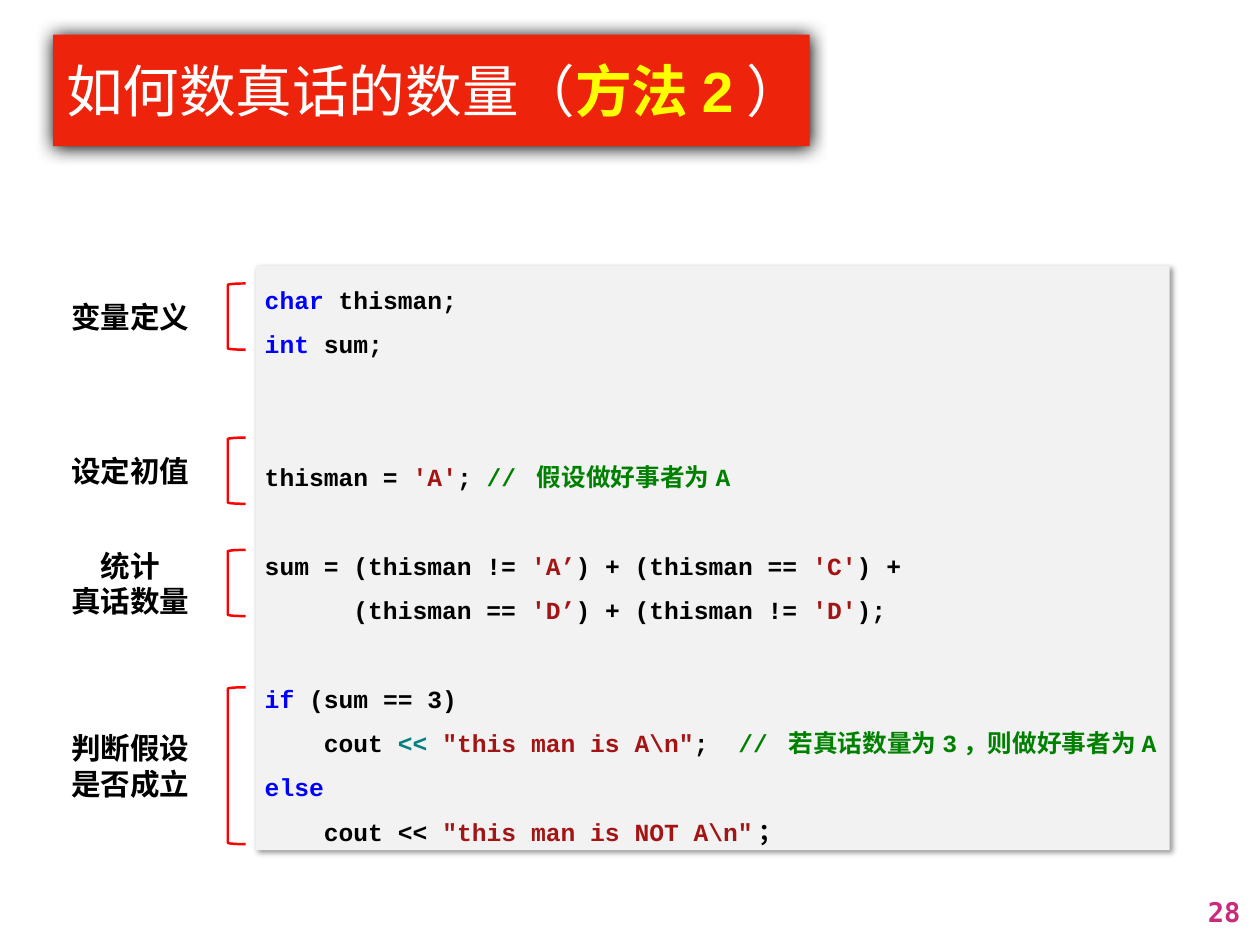
from dataclasses import dataclass

from lxml.etree import SubElement
from pptx import Presentation
from pptx.dml.color import RGBColor
from pptx.enum.shapes import MSO_SHAPE as Preset
from pptx.enum.text import MSO_ANCHOR as Anchor, MSO_AUTO_SIZE as AutoSize, PP_ALIGN as Align
from pptx.oxml.ns import qn
from pptx.util import Cm, Pt


@dataclass(frozen=True)
class Theme:
    body: str = "Arial"
    mono: str = "Courier New"
    number: str = "DejaVu Sans Mono"
    title_size: int = 46
    label_size: int = 24
    number_size: int = 22
    code_size: int = 20
    blank_line: int = 36
    banner: str = "EE230C"
    panel: str = "F2F2F2"
    bracket: str = "FF0000"
    white: str = "FFFFFF"
    highlight: str = "FFFF00"
    plain: str = "000000"
    keyword: str = "0000FF"
    string: str = "A31515"
    comment: str = "008000"
    operator: str = "008080"
    page: str = "CB2A7A"


THEME = Theme()

CODE = [
    (0, [("char ", "keyword"), ("thisman;", "plain")]),
    (0, [("int", "keyword"), (" sum;", "plain")]),
    (2, [("thisman = ", "plain"), ("'A'", "string"), ("; ", "plain"),
         ("// 假设做好事者为A", "comment")]),
    (1, [("sum = (thisman != ", "plain"), ("'A’", "string"),
         (") + (thisman == ", "plain"), ("'C'", "string"), (") +", "plain")]),
    (0, [("      (thisman == ", "plain"), ("'D’", "string"),
         (") + (thisman != ", "plain"), ("'D'", "string"), (");", "plain")]),
    (1, [("if", "keyword"), (" (sum == 3)", "plain")]),
    (0, [("    cout ", "plain"), ("<< ", "operator"), (r'"this man is A\n"', "string"),
         (";  ", "plain"), ("// 若真话数量为3，则做好事者为A", "comment")]),
    (0, [("else", "keyword")]),
    (0, [("    cout << ", "plain"), (r'"this man is NOT A\n"', "string"), ("；", "plain")]),
]

STEPS = [
    (8.13, 1.9, ["变量定义"]),
    (12.55, 1.9, ["设定初值"]),
    (15.77, 1.9, ["统计", "真话数量"]),
    (19.71, 4.5, ["判断假设", "是否成立"]),
]


class CodeSlide:
    """Draws the parts of an annotated code slide in one theme."""

    def __init__(self, deck, theme):
        self.theme = theme
        self.slide = deck.slides.add_slide(deck.slide_layouts[5])

    def colour(self, role):
        return RGBColor.from_string(getattr(self.theme, role))

    def apply(self, target, values):
        for key, value in values.items():
            setattr(target, key, value)

    def frame(self, shape, inset, **values):
        margins = {f"margin_{side}": Cm(inset) for side in ("left", "right", "top", "bottom")}
        self.apply(shape.text_frame, {**margins, **values})
        return shape.text_frame

    def add_runs(self, paragraph, pieces, font, size, bold, **values):
        self.apply(paragraph, values)
        for text, role in pieces:
            run = paragraph.add_run()
            run.text = text
            strong = bold or role == "highlight"
            self.apply(run.font, {"name": font, "size": Pt(size), "bold": strong})
            run.font.color.rgb = self.colour(role)

    def fill(self, shape, role):
        shape.fill.solid()
        shape.fill.fore_color.rgb = self.colour(role)
        shape.line.fill.background()

    def cast_shadow(self, shape, blur, distance, angle, opacity):
        shape.shadow.inherit = False
        effects = shape._element.spPr.find(qn("a:effectLst"))
        shadow = SubElement(effects, qn("a:outerShdw"), blurRad=str(Pt(blur)),
                            dist=str(Pt(distance)), dir=str(angle * 60000),
                            algn="ctr", rotWithShape="0")
        tint = SubElement(shadow, qn("a:srgbClr"), val=self.theme.plain)
        SubElement(tint, qn("a:alpha"), val=str(opacity * 1000))

    def title(self, box, pieces):
        banner = self.slide.shapes.title
        self.apply(banner, dict(zip(("left", "top", "width", "height"), map(Cm, box))))
        self.fill(banner, "banner")
        self.cast_shadow(banner, 15, 0.7, 90, 100)
        frame = self.frame(banner, 0.18, auto_size=AutoSize.NONE, word_wrap=True,
                           vertical_anchor=Anchor.MIDDLE)
        self.add_runs(frame.paragraphs[0], pieces, self.theme.body, self.theme.title_size,
                      False, alignment=Align.RIGHT)

    def code(self, box, lines):
        panel = self.slide.shapes.add_shape(Preset.RECTANGLE, *map(Cm, box))
        self.fill(panel, "panel")
        self.cast_shadow(panel, 4, 3, 45, 40)
        frame = self.frame(panel, 0.13, word_wrap=True, vertical_anchor=Anchor.TOP)
        self.apply(frame, {"margin_left": Cm(0.25), "margin_right": Cm(0.25)})
        for index, (blanks, pieces) in enumerate(lines):
            paragraph = frame.add_paragraph() if index else frame.paragraphs[0]
            self.add_runs(paragraph, pieces, self.theme.mono, self.theme.code_size, True,
                          alignment=Align.LEFT, line_spacing=1.5,
                          space_before=Pt(blanks * self.theme.blank_line))

    def bracket(self, left, top, width, height):
        bracket = self.slide.shapes.add_shape(
            Preset.LEFT_BRACKET, *map(Cm, (left, top, width, height)))
        bracket.shadow.inherit = False
        bracket.fill.background()
        bracket.line.color.rgb = self.colour("bracket")
        bracket.line.width = Pt(2)

    def text(self, box, lines, font, size, role, inset, **values):
        holder = self.slide.shapes.add_textbox(*map(Cm, box))
        frame = self.frame(holder, inset, word_wrap=False, vertical_anchor=Anchor.MIDDLE)
        for index, line in enumerate(lines):
            paragraph = frame.add_paragraph() if index else frame.paragraphs[0]
            self.add_runs(paragraph, [(line, role)], font, size, True, **values)

    def step(self, top, height, lines):
        self.bracket(6.53, top, 0.51, height)
        label_height = 0.3 + 1.02 * len(lines)
        label_top = top + (height - label_height) / 2
        self.text((1.88, label_top, 3.71, label_height), lines, self.theme.body,
                  self.theme.label_size, "plain", 0.15, alignment=Align.CENTER)

    def page_number(self, box, number):
        self.text(box, [number], self.theme.number, self.theme.number_size, "page", 0.18,
                  alignment=Align.RIGHT)


def main():
    deck = Presentation()
    deck.slide_width, deck.slide_height = Cm(36.12), Cm(27.1)
    slide = CodeSlide(deck, THEME)
    slide.title((1.52, 0.99, 21.69, 3.2),
                [("如何数真话的数量（", "white"), ("方法2", "highlight"), ("）", "white")])
    slide.code((7.34, 7.62, 26.19, 16.76), CODE)
    for step in STEPS:
        slide.step(*step)
    slide.page_number((34.42, 25.5, 1.32, 1.27), "28")
    deck.save("out.pptx")


if __name__ == "__main__":
    main()
